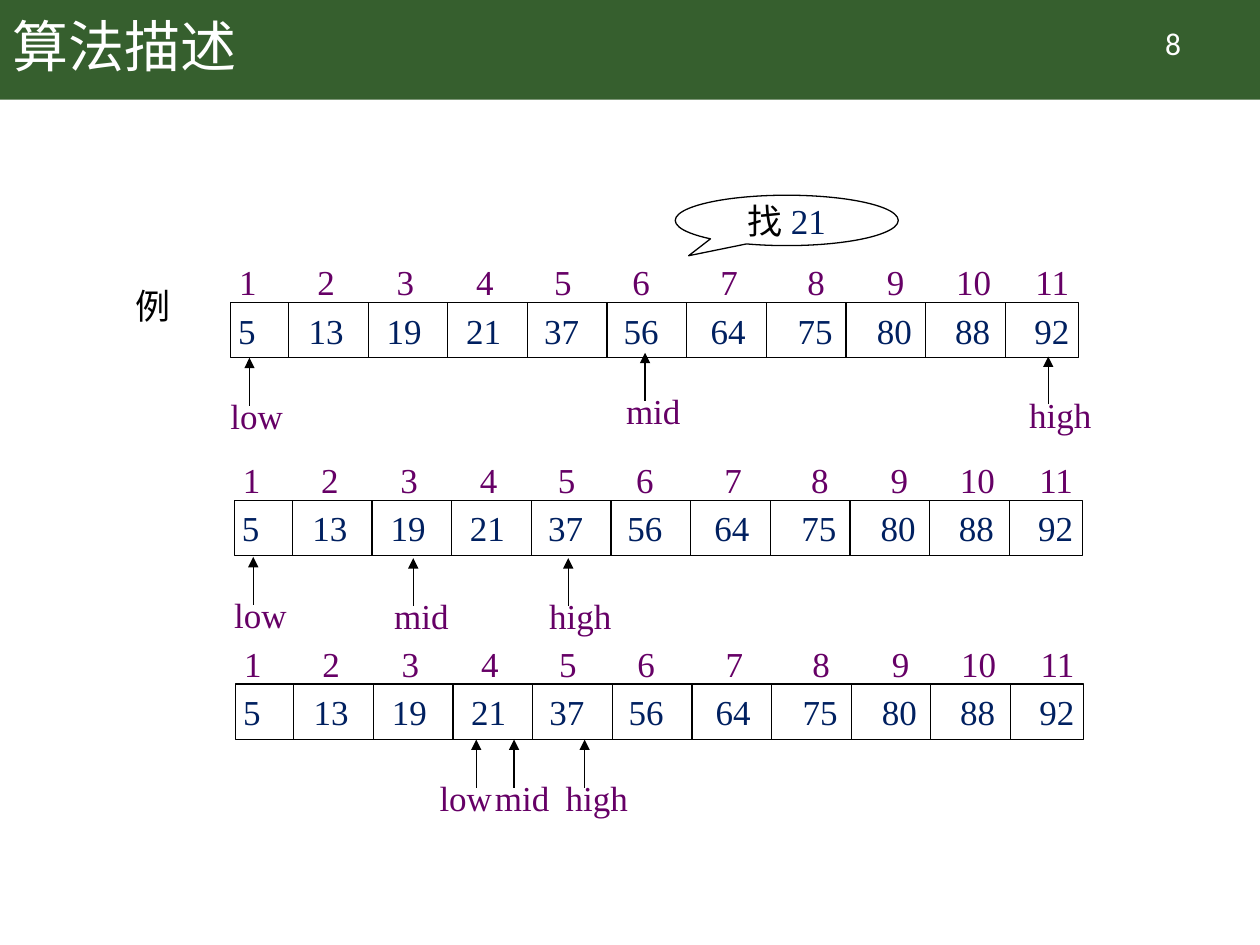
from dataclasses import dataclass

from lxml import etree
from pptx import Presentation
from pptx.dml.color import RGBColor
from pptx.enum.shapes import MSO_CONNECTOR, MSO_SHAPE
from pptx.enum.text import MSO_ANCHOR, MSO_AUTO_SIZE, PP_ALIGN
from pptx.oxml.ns import qn
from pptx.util import Inches, Pt

STRAIGHT = MSO_CONNECTOR.STRAIGHT
RECTANGLE = MSO_SHAPE.RECTANGLE
CALLOUT = MSO_SHAPE.OVAL_CALLOUT
MIDDLE = MSO_ANCHOR.MIDDLE
FIT_SHAPE = MSO_AUTO_SIZE.SHAPE_TO_FIT_TEXT
LEFT, CENTER = PP_ALIGN.LEFT, PP_ALIGN.CENTER


@dataclass(frozen=True)
class Theme:
    banner: RGBColor = RGBColor(0x36, 0x5F, 0x2E)
    white: RGBColor = RGBColor(0xFF, 0xFF, 0xFF)
    black: RGBColor = RGBColor(0, 0, 0)
    label: RGBColor = RGBColor(0x66, 0x00, 0x66)
    value: RGBColor = RGBColor(0x00, 0x20, 0x60)
    chinese: str = "Noto Sans CJK SC"
    serif: str = "Times New Roman"
    sans: str = "Calibri"
    title_size: int = 32
    body_size: int = 20
    number_size: int = 18
    line_width: float = 0.75


@dataclass(frozen=True)
class Pointer:
    name: str
    x: float
    tip: float
    label_shift: float = -0.25


@dataclass(frozen=True)
class SearchStep:
    left: float
    top: float
    pointers: tuple[Pointer, ...]


THEME = Theme()
INDICES = [str(number) for number in range(1, 12)]
VALUES = ["5", "13", "19", "21", "37", "56", "64", "75", "80", "88", "92"]
INDEX_STOPS = [0.62, 1.25, 1.88, 2.5, 3.12, 3.82, 4.51, 5.14, 5.69, 6.32]
VALUE_STOPS = [0.56, 1.18, 1.81, 2.43, 3.06, 3.75, 4.44, 5.07, 5.69, 6.32]
ROW_WIDTH, ROW_HEIGHT = 6.73, 0.44
FIRST_DIVIDER, LAST_DIVIDER = 0.46, 6.78 - 0.63
CELL_WIDTH = (LAST_DIVIDER - FIRST_DIVIDER) / 9
ARROW_LENGTH, LABEL_DROP, LABEL_HEIGHT = 0.38, 0.24, 0.43
LABEL_WIDTHS = {"low": 0.64, "mid": 0.65, "high": 0.72}
STEPS = (
    SearchStep(1.83, 2.4, (Pointer("low", 1.98, 2.84), Pointer("high", 8.32, 2.83),
                           Pointer("mid", 5.12, 2.8))),
    SearchStep(1.86, 3.97, (Pointer("low", 2.01, 4.42), Pointer("high", 4.51, 4.43),
                            Pointer("mid", 3.28, 4.43))),
    SearchStep(1.87, 5.43, (Pointer("low", 3.78, 5.87, -0.39), Pointer("high", 4.64, 5.87),
                            Pointer("mid", 4.08, 5.87))),
)


def add_span(para, text: str, font: str, size: int, color: RGBColor) -> None:
    span = para.add_run()
    span.text = text
    span.font.name = font
    span.font.size = Pt(size)
    span.font.color.rgb = color
    if font == THEME.chinese:
        properties = span.font._element
        etree.SubElement(properties, qn("a:ea")).set("typeface", font)


def add_text(slide, left: float, top: float, width: float, height: float, text: str,
             font: str = THEME.serif, size: int = THEME.body_size,
             color: RGBColor = THEME.label):
    box = slide.shapes.add_textbox(Inches(left), Inches(top), Inches(width), Inches(height))
    add_span(box.text_frame.paragraphs[0], text, font, size, color)
    return box


def add_label(slide, left: float, top: float, width: float, text: str,
              font: str = THEME.serif, color: RGBColor = THEME.label) -> None:
    box = add_text(slide, left, top, width, LABEL_HEIGHT, text, font, color=color)
    box.text_frame.word_wrap = False
    box.text_frame.auto_size = FIT_SHAPE


def add_outline(slide, kind, left: float, top: float, width: float, height: float):
    shape = slide.shapes.add_shape(kind, Inches(left), Inches(top), Inches(width), Inches(height))
    shape.shadow.inherit = False
    shape.fill.background()
    shape.line.color.rgb = THEME.black
    shape.line.width = Pt(THEME.line_width)
    shape.text_frame.vertical_anchor = MIDDLE
    return shape


def add_line(slide, x: float, start: float, end: float, arrow: bool = False) -> None:
    """Draw a vertical line, with an arrowhead at its end if asked."""
    line = slide.shapes.add_connector(STRAIGHT, Inches(x), Inches(start), Inches(x), Inches(end))
    line.line.color.rgb = THEME.black
    line.line.width = Pt(THEME.line_width)
    if arrow:
        etree.SubElement(line.line._get_or_add_ln(), qn("a:tailEnd")).set("type", "triangle")
    etree.SubElement(line._element.spPr, qn("a:effectLst"))


def fill_columns(box, entries: list[str], stops: list[float], inset: float,
                 color: RGBColor) -> None:
    """Set the entries on one line, each at its own tab stop."""
    frame = box.text_frame
    frame.word_wrap = True
    frame.margin_left, frame.margin_right = Inches(inset), 0
    para = frame.paragraphs[0]
    para.alignment = LEFT
    tabs = etree.SubElement(para._p.get_or_add_pPr(), qn("a:tabLst"))
    for stop in stops:
        tab = etree.SubElement(tabs, qn("a:tab"))
        tab.set("pos", str(int(Inches(stop))))
        tab.set("algn", "l")
    add_span(para, "\t".join(entries), THEME.serif, THEME.body_size, color)


def add_step(slide, step: SearchStep) -> None:
    index_box = slide.shapes.add_textbox(Inches(step.left - 0.03), Inches(step.top - 0.38),
                                         Inches(6.8), Inches(LABEL_HEIGHT))
    fill_columns(index_box, INDICES, INDEX_STOPS, 0.1, THEME.label)
    array_box = add_outline(slide, RECTANGLE, step.left, step.top, ROW_WIDTH, ROW_HEIGHT)
    fill_columns(array_box, VALUES, VALUE_STOPS, 0.06, THEME.value)
    for index in range(len(VALUES) - 1):
        x = step.left + FIRST_DIVIDER + index * CELL_WIDTH
        add_line(slide, x, step.top, step.top + ROW_HEIGHT)
    for pointer in step.pointers:
        add_line(slide, pointer.x, pointer.tip + ARROW_LENGTH, pointer.tip, arrow=True)
        add_label(slide, pointer.x + pointer.label_shift, pointer.tip + LABEL_DROP,
                  LABEL_WIDTHS[pointer.name], pointer.name)


def add_header(slide) -> None:
    banner = add_outline(slide, RECTANGLE, 0, 0, 10, 0.79)
    banner.fill.solid()
    banner.fill.fore_color.rgb = THEME.banner
    banner.line.fill.background()
    title = add_text(slide, 0, 0, 8.62, 0.79, "算法描述", THEME.chinese,
                     THEME.title_size, THEME.white)
    title.text_frame.word_wrap = True
    title.text_frame.vertical_anchor = MIDDLE
    title.text_frame.paragraphs[0].line_spacing = 0.9
    number = add_text(slide, 8.71, 0.14, 1.2, 0.4, "8", THEME.sans,
                      THEME.number_size, THEME.white)
    number.text_frame.word_wrap = True
    number.text_frame.paragraphs[0].alignment = CENTER


def add_target_callout(slide) -> None:
    callout = add_outline(slide, CALLOUT, 5.36, 1.55, 1.77, 0.4)
    callout.adjustments[0] = -0.44
    callout.adjustments[1] = 0.7
    callout.text_frame.word_wrap = False
    para = callout.text_frame.paragraphs[0]
    para.alignment = CENTER
    add_span(para, "找", THEME.chinese, THEME.body_size, THEME.black)
    add_span(para, "21", THEME.serif, THEME.body_size, THEME.value)


def main() -> None:
    deck = Presentation()
    deck.slide_width, deck.slide_height = Inches(10), Inches(7.5)
    slide = deck.slides.add_slide(deck.slide_layouts[6])
    add_header(slide)
    add_label(slide, 0.98, 2.21, 0.55, "例", THEME.chinese, THEME.black)
    add_target_callout(slide)
    for step in STEPS:
        add_step(slide, step)
    deck.save("out.pptx")


if __name__ == "__main__":
    main()
